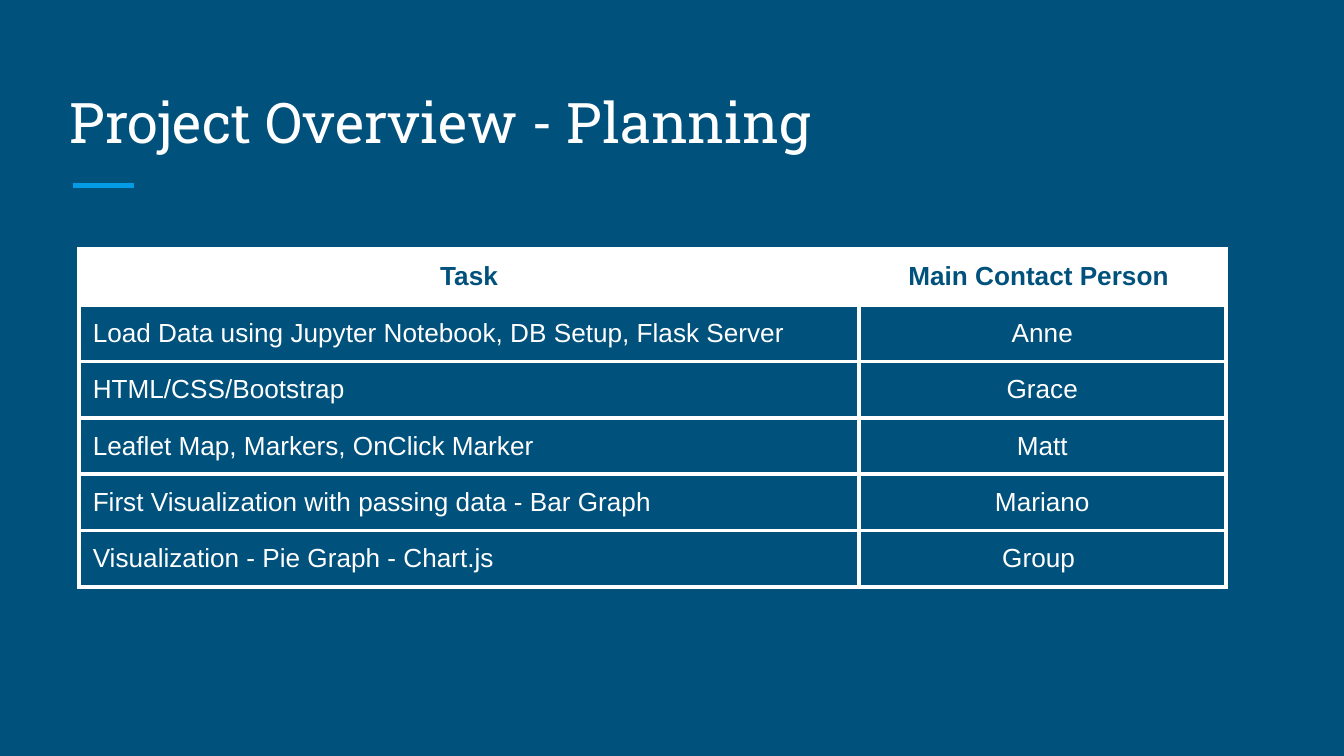
import pptx
import pptx.dml.color
import pptx.enum.shapes
import pptx.enum.text
import pptx.oxml.ns
import pptx.util
from lxml import etree

Inches, Pt = pptx.util.Inches, pptx.util.Pt
ALIGN = pptx.enum.text.PP_ALIGN
qn = pptx.oxml.ns.qn

# Content
TITLE = "Project Overview - Planning"
ROWS = [
    ("Task", "Main Contact Person "),
    ("Load Data using Jupyter Notebook, DB Setup, Flask Server", "Anne"),
    ("HTML/CSS/Bootstrap", "Grace"),
    ("Leaflet Map, Markers, OnClick Marker", "Matt"),
    ("First Visualization with passing data - Bar Graph", "Mariano"),
    ("Visualization - Pie Graph - Chart.js", "Group "),
]
COL_WIDTHS = [5.8, 2.73]
ROW_HEIGHT = 0.42
NAVY, WHITE, ACCENT = "00517C", "FFFFFF", "039BE5"


def rgb(value):
    return pptx.dml.color.RGBColor.from_string(value)


def set_margins(obj, bottom=0.1):
    for side in ("left", "right", "top"):
        setattr(obj, f"margin_{side}", Inches(0.1))
    obj.margin_bottom = Inches(bottom)


def add_run(p, text, font, size, color, bold=False):
    r = p.add_run()
    r.text = text
    r.font.name, r.font.size, r.font.bold = font, Pt(size), bold
    r.font.color.rgb = rgb(color)


def add_borders(cell, color, width):
    tc_pr = cell._tc.get_or_add_tcPr()
    for edge in ("lnL", "lnR", "lnT", "lnB"):
        ln = etree.SubElement(tc_pr, qn(f"a:{edge}"), w=str(Pt(width)))
        fill = etree.SubElement(ln, qn("a:solidFill"))
        etree.SubElement(fill, qn("a:srgbClr"), val=color)


# Widescreen 16:9 slide
prs = pptx.Presentation()
prs.slide_width = Inches(10)
prs.slide_height = prs.slide_width * 9 // 16
s = prs.slides.add_slide(prs.slide_layouts[6])
s.background.fill.solid()
s.background.fill.fore_color.rgb = rgb(NAVY)

# Accent rule under the title
rule = s.shapes.add_connector(
    pptx.enum.shapes.MSO_CONNECTOR.STRAIGHT,
    Inches(0.54), Inches(1.38), Inches(1), Inches(1.38))
rule.line.color.rgb = rgb(ACCENT)
rule.line.width = Pt(3)
etree.SubElement(rule._element.spPr, qn("a:effectLst"))

# Title
tf = s.shapes.add_textbox(
    Inches(0.42), Inches(0.5), Inches(9.15), Inches(0.75)).text_frame
tf.word_wrap = True
tf.vertical_anchor = pptx.enum.text.MSO_ANCHOR.BOTTOM
set_margins(tf)
add_run(tf.paragraphs[0], TITLE, "Roboto Slab", 30, WHITE)

# Task table
table = s.shapes.add_table(
    len(ROWS), len(COL_WIDTHS), Inches(0.59), Inches(1.85),
    Inches(sum(COL_WIDTHS)), Inches(ROW_HEIGHT * len(ROWS))).table
table.first_row = table.horz_banding = False
for col, width in zip(table.columns, COL_WIDTHS):
    col.width = Inches(width)
for i, texts in enumerate(ROWS):
    table.rows[i].height = Inches(ROW_HEIGHT)
    header = i == 0
    for j, text in enumerate(texts):
        cell = table.cell(i, j)
        set_margins(cell, bottom=0.08)  # keeps the text within the row height
        add_borders(cell, WHITE, 2.25)
        if header:
            cell.fill.solid()
            cell.fill.fore_color.rgb = rgb(WHITE)
        else:
            cell.fill.background()
        p = cell.text_frame.paragraphs[0]
        p.alignment = ALIGN.CENTER if header or j == 1 else ALIGN.LEFT
        add_run(p, text, "Arial", 14, NAVY if header else WHITE, header)

prs.save("out.pptx")
